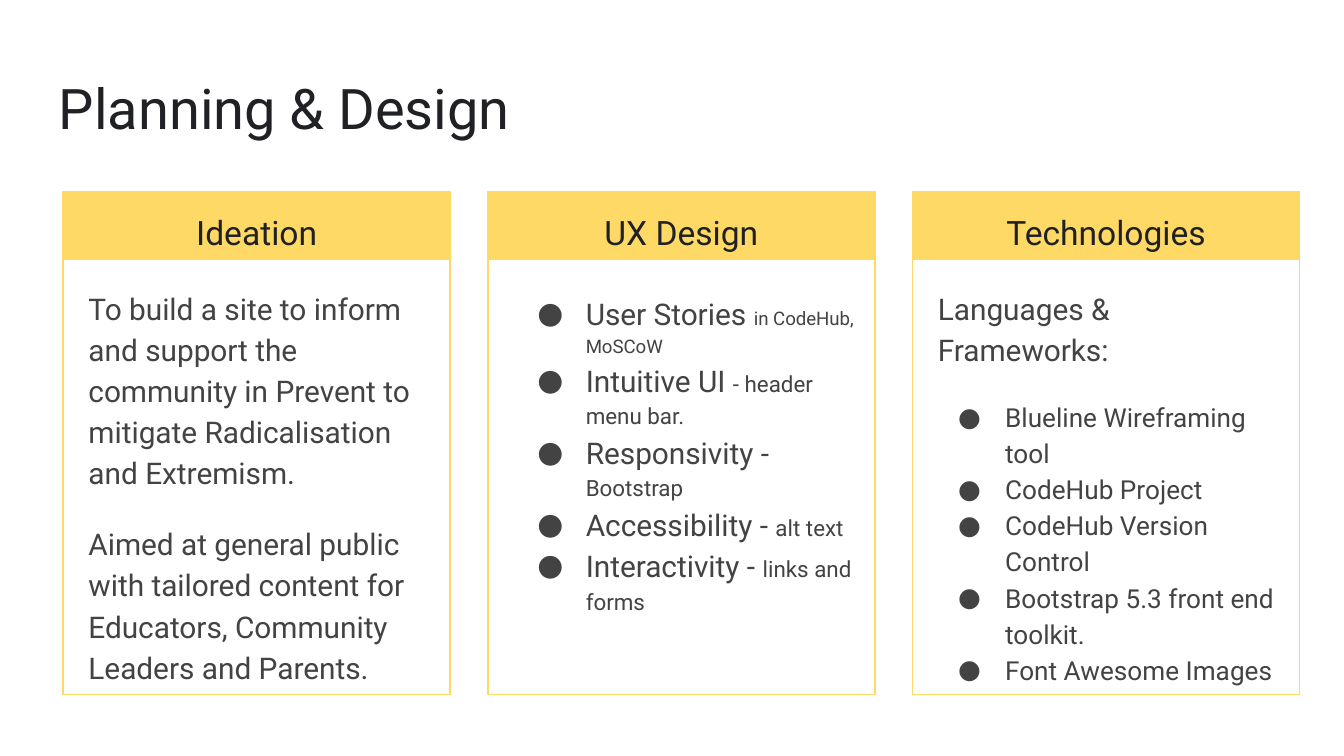
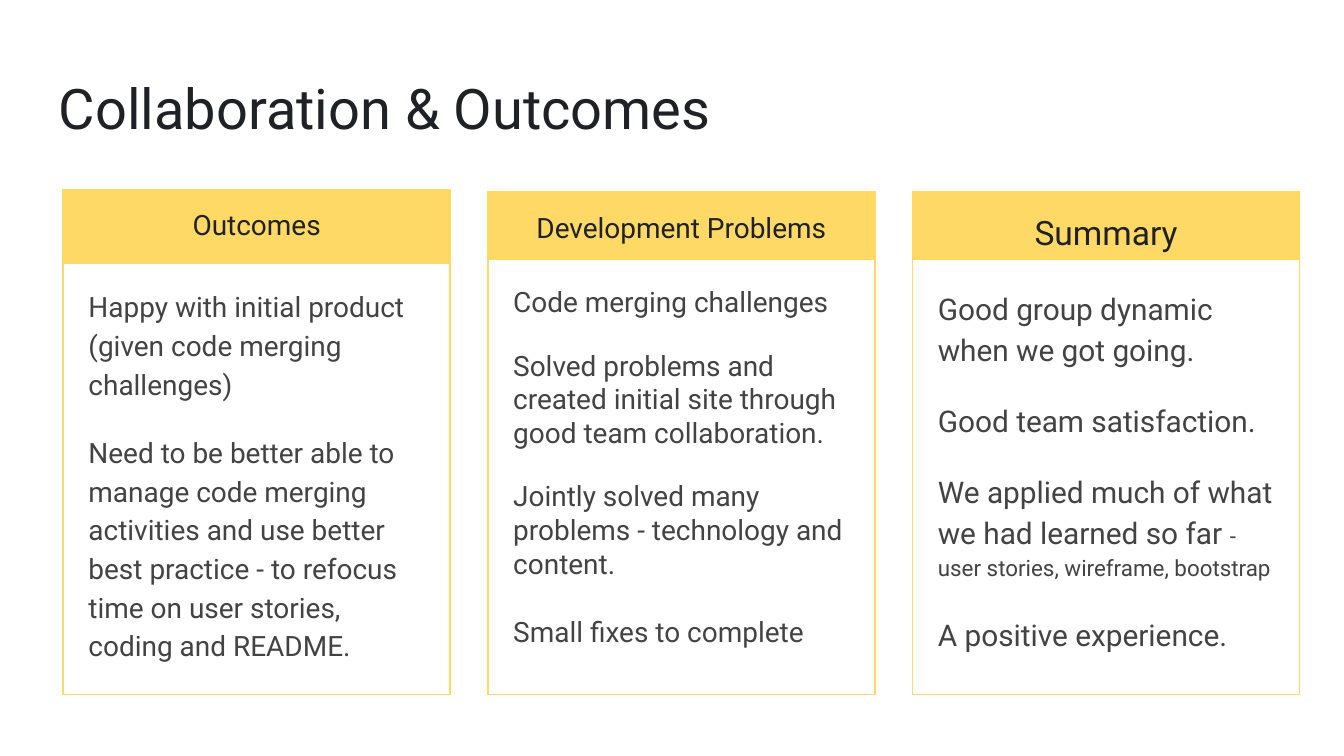
import dataclasses
import typing

import lxml.etree
import pptx
import pptx.dml.color
import pptx.enum.shapes
import pptx.enum.text
import pptx.oxml.ns
import pptx.util

PX = 4572  # 200 px to the inch
FONT = "Roboto"
GOLD, INK, GREY = "FFD966", "202124", "434343"
LEFT, TOP, WIDE, TALL, STEP = 94, 286, 576, 748, 632
ALIGN = pptx.enum.text.PP_ALIGN


class Box(typing.NamedTuple):
    left: int
    top: int
    width: int
    height: int


class Run(typing.NamedTuple):
    text: str
    size: int = 16


@dataclasses.dataclass
class Para:
    runs: list[Run]
    before: int = 0
    after: int = 0
    lines: float = 1.15
    hang: int = 0  # px; above zero makes a bullet


@dataclasses.dataclass
class Card:
    head: Run
    paras: list[Para]
    lift: int = 0  # how far the band rises above the card
    band: int = 100
    shift: int = 0  # how far the body moves right and down
    tall: int = 612


@dataclasses.dataclass
class Page:
    title: str
    cards: list[Card]


def tint(code: str) -> pptx.dml.color.RGBColor:
    return pptx.dml.color.RGBColor.from_string(code)


def emu(box: Box) -> list[int]:
    return [side * PX for side in box]


def dot(para, hang: int) -> None:
    """Give the paragraph a round grey bullet and a hanging indent."""
    qn = pptx.oxml.ns.qn
    props = para._p.get_or_add_pPr()
    props.set("marL", str(100 * PX))
    props.set("indent", str(-hang * PX))
    shade = lxml.etree.SubElement(props, qn("a:buClr"))
    lxml.etree.SubElement(shade, qn("a:srgbClr"), val=GREY)
    lxml.etree.SubElement(props, qn("a:buFont"), typeface=FONT)
    lxml.etree.SubElement(props, qn("a:buChar"), char="●")


def write(shape, paras: list[Para], ink: str, align=ALIGN.LEFT) -> None:
    frame = shape.text_frame
    frame.word_wrap = True
    frame.vertical_anchor = pptx.enum.text.MSO_ANCHOR.TOP
    frame.margin_left = frame.margin_right = 20 * PX
    frame.margin_top = frame.margin_bottom = 20 * PX
    for num, item in enumerate(paras):
        para = frame.add_paragraph() if num else frame.paragraphs[0]
        para.alignment = align
        para.line_spacing = item.lines
        para.space_before = pptx.util.Pt(item.before)
        para.space_after = pptx.util.Pt(item.after)
        if item.hang:
            dot(para, item.hang)
        for part in item.runs:
            run = para.add_run()
            run.text = part.text
            run.font.name = FONT
            run.font.size = pptx.util.Pt(part.size)
            run.font.color.rgb = tint(ink)


def label(slide, box: Box, paras: list[Para], ink: str) -> None:
    write(slide.shapes.add_textbox(*emu(box)), paras, ink)


def panel(slide, box: Box, fill: str | None = None):
    """Draw a gold-edged rectangle, clear inside unless a fill is given."""
    kind = pptx.enum.shapes.MSO_SHAPE.RECTANGLE
    shape = slide.shapes.add_shape(kind, *emu(box))
    shape.shadow.inherit = False
    shape.line.color.rgb = tint(GOLD)
    shape.line.width = pptx.util.Pt(0.75)
    if fill:
        shape.fill.solid()
        shape.fill.fore_color.rgb = tint(fill)
    else:
        shape.fill.background()
    return shape


def draw(slide, page: Page) -> None:
    label(slide, Box(68, 90, 1864, 132), [Para([Run(page.title, 30)], lines=1.0)], INK)
    for col, card in enumerate(page.cards):
        left = LEFT + col * STEP
        panel(slide, Box(left, TOP, WIDE, TALL))
        band = panel(slide, Box(left, TOP - card.lift, WIDE, card.band), GOLD)
        write(band, [Para([card.head])], INK, ALIGN.CENTER)
        body = Box(left + 18 + card.shift, 404 + card.shift, 542, card.tall)
        label(slide, body, card.paras, GREY)


def stack(texts: list[str], size: int = 16, lines: float = 1.15) -> list[Para]:
    """Plain paragraphs with a gap before all but the first."""
    return [Para([Run(text, size)], before=16 if num else 0, lines=lines)
            for num, text in enumerate(texts)]


SKILLS = [
    ("User Stories ", "in CodeHub, MoSCoW", 10),
    ("Intuitive UI ", "- header menu bar.", 12),
    ("Responsivity - ", "Bootstrap", 12),
    ("Accessibility - ", "alt text", 12),
    ("Interactivity - ", "links and forms", 12),
]
TOOLS = [
    "Blueline Wireframing tool",
    "CodeHub Project",
    "CodeHub Version Control",
    "Bootstrap 5.3 front end toolkit.",
    "Font Awesome Images",
]
PAGES = [
    Page("Planning & Design", [
        Card(Run("Ideation", 18), stack([
            "To build a site to inform and support the community in Prevent "
            "to mitigate Radicalisation and Extremism.",
            "Aimed at general public with tailored content for Educators, "
            "Community Leaders and Parents.",
        ])),
        Card(Run("UX Design", 18),
             [Para([Run(main), Run(note, size)], hang=72) for main, note, size in SKILLS],
             shift=8, tall=460),
        Card(Run("Technologies", 18),
             stack(["Languages & Frameworks:"])
             + [Para([Run(tool, 14)], before=0 if num else 16, hang=70)
                for num, tool in enumerate(TOOLS)]),
    ]),
    Page("Collaboration & Outcomes", [
        Card(Run("Outcomes", 15), stack([
            "Happy with initial product (given code merging challenges)",
            "Need to be better able to manage code merging activities and use "
            "better best practice - to refocus time on user stories, coding "
            "and README.",
        ], 15), lift=4, band=110),
        Card(Run("Development Problems", 15), stack([
            "Code merging challenges",
            "Solved problems and created initial site through good team "
            "collaboration.",
            "Jointly solved many problems - technology and content.",
        ], 15, 1.0) + [Para([Run("Small fixes to complete", 15)], before=16)]),
        Card(Run("Summary", 18), stack([
            "Good group dynamic when we got going.",
            "Good team satisfaction.",
        ]) + [
            Para([Run("We applied much of what we had learned so far "),
                  Run("- user stories, wireframe, bootstrap", 12)], before=16),
            Para([Run("A positive experience.")], before=16, after=16),
        ]),
    ]),
]


def main() -> None:
    deck = pptx.Presentation()
    deck.slide_width, deck.slide_height = 2000 * PX, 1125 * PX
    for page in PAGES:
        draw(deck.slides.add_slide(deck.slide_layouts[6]), page)
    deck.save("out.pptx")


if __name__ == "__main__":
    main()
